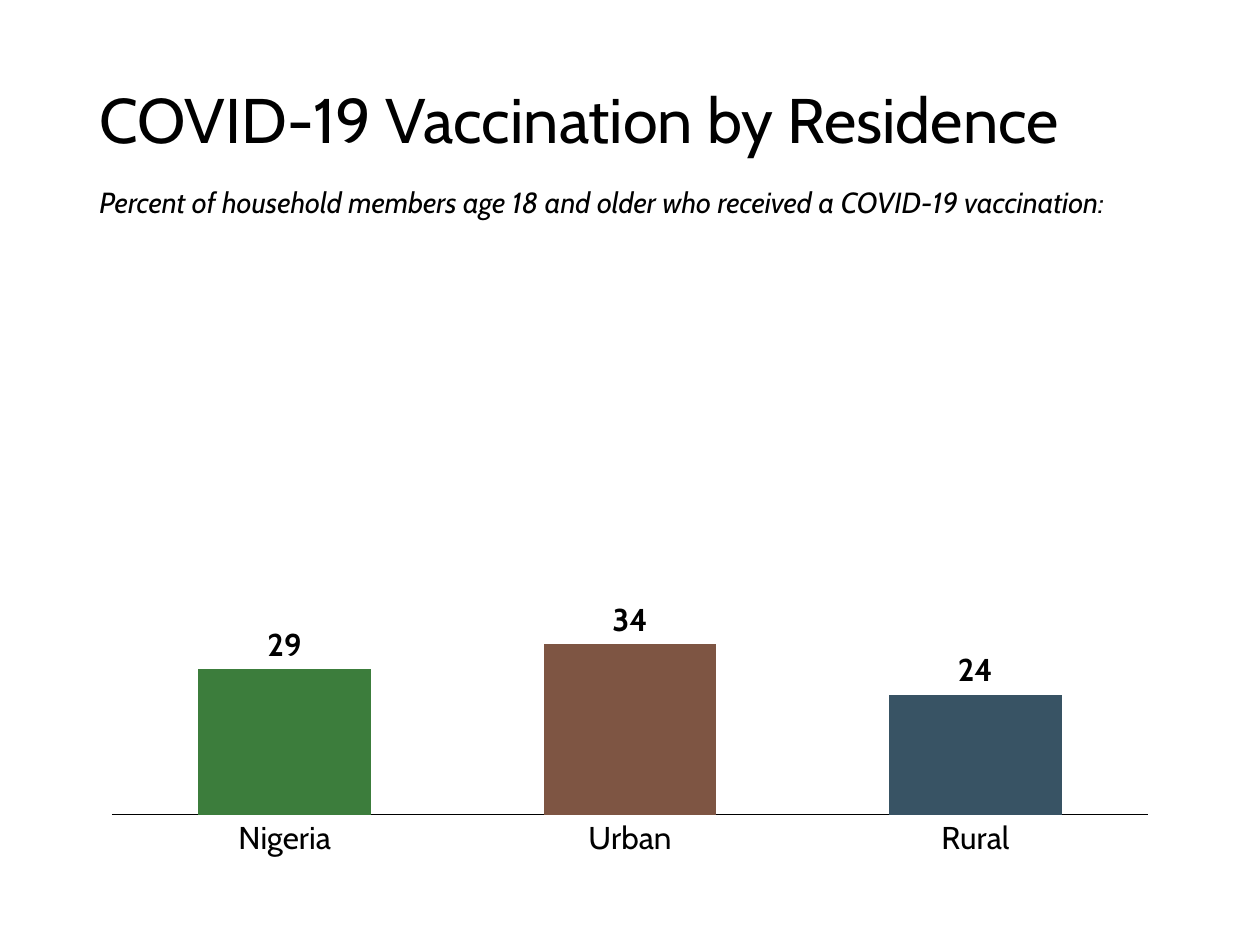
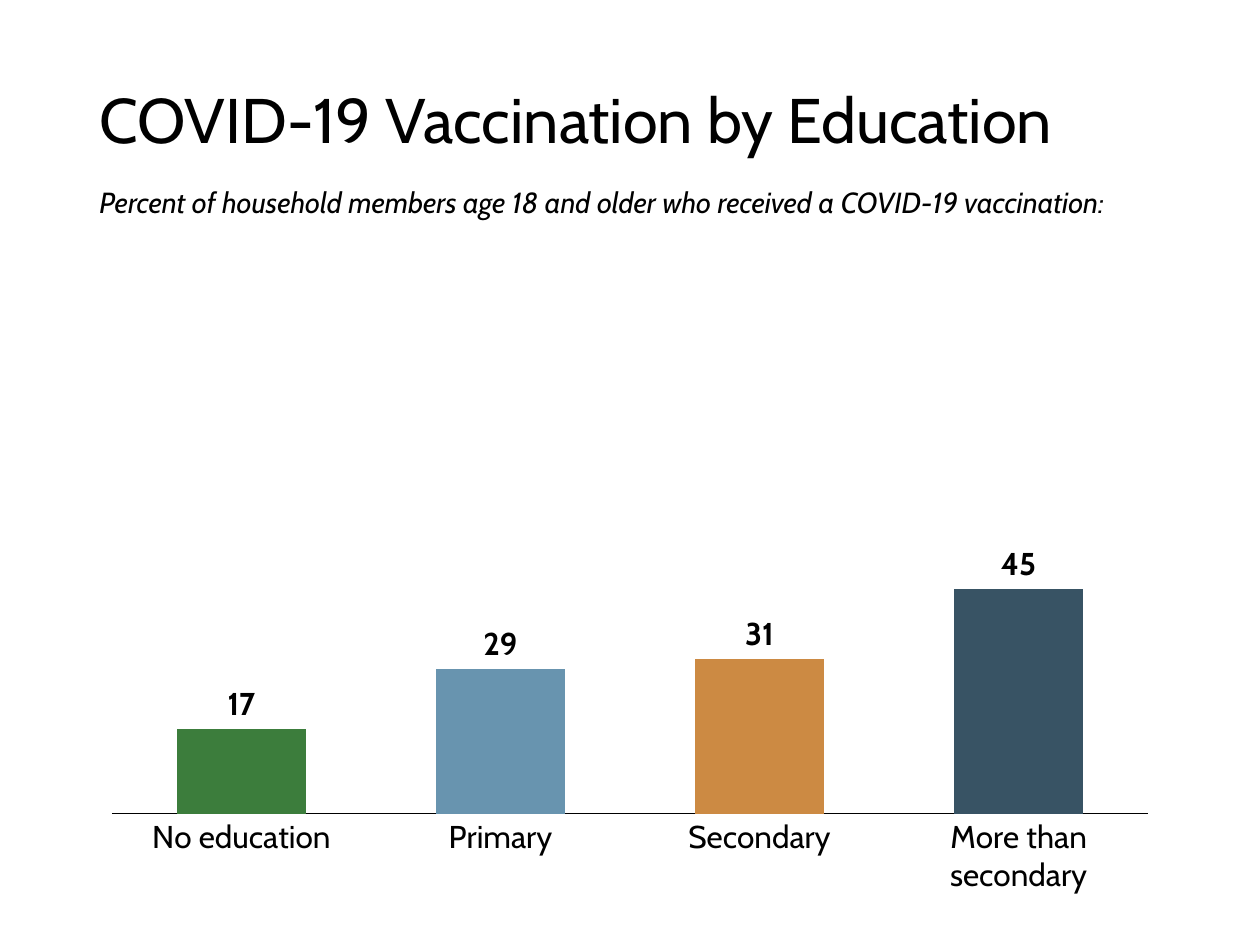
from dataclasses import dataclass

from lxml import etree
from pptx import Presentation
from pptx import util as u
from pptx.chart import data as cd
from pptx.dml.color import RGBColor
from pptx.enum import chart as ce
from pptx.enum import text as te
from pptx.oxml import ns

NOTE = ("Percent of household members age 18 and older "
        "who received a COVID-19 vaccination:")

# Each group: title, then (label, percent, colour name) for every bar
GROUPS = [
    ("COVID-19 Vaccination by Residence", [
        ("Nigeria", 29, "green"),
        ("Urban", 34, "brown"),
        ("Rural", 24, "navy"),
    ]),
    ("COVID-19 Vaccination by Education", [
        ("No education", 17, "green"),
        ("Primary", 29, "blue"),
        ("Secondary", 31, "gold"),
        ("More than secondary", 45, "navy"),
    ]),
]


@dataclass(frozen=True)
class Theme:
    font: str = "Cabin"
    ink: str = "000000"
    green: str = "3C7D3C"
    brown: str = "7E5543"
    navy: str = "385364"
    blue: str = "6894AF"
    gold: str = "CC8A43"
    title: float = 36
    note: float = 16.6
    label: float = 18
    rule: float = 0.75


T = Theme()
WIDE, HIGH = 10, 7.5
LEFT = 0.69
SPAN = WIDE - 2 * LEFT
PLOT = {"x": 0.023, "y": 0.082, "w": 0.954, "h": 0.792}  # shares of the chart


def tint(name):
    return RGBColor.from_string(getattr(T, name))


def style(font, size, bold=False, italic=False):
    font.name = T.font
    font.size = u.Pt(size)
    font.bold = bold
    font.italic = italic
    font.color.rgb = tint("ink")


def write(slide, words, top, high, size, anchor=te.MSO_ANCHOR.TOP, **form):
    box = slide.shapes.add_textbox(
        u.Inches(LEFT), u.Inches(top), u.Inches(SPAN), u.Inches(high))
    frame = box.text_frame
    frame.word_wrap = True
    frame.vertical_anchor = anchor
    para = frame.paragraphs[0]
    para.line_spacing = 0.9
    run = para.add_run()
    run.text = words
    style(run.font, size, **form)


def place(chart):
    """Fix the inner plot area so that both charts share one baseline."""
    area = chart.plots[0]._element.getparent()
    for old in area.findall(ns.qn("c:layout")):
        area.remove(old)
    outer = etree.Element(ns.qn("c:layout"))
    area.insert(0, outer)
    inner = etree.SubElement(outer, ns.qn("c:manualLayout"))
    parts = {"layoutTarget": "inner", "xMode": "edge", "yMode": "edge", **PLOT}
    for tag, val in parts.items():
        etree.SubElement(inner, ns.qn("c:" + tag)).set("val", str(val))


def draw(slide, bars):
    names, vals, tones = zip(*bars)
    data = cd.CategoryChartData()
    data.categories = names
    data.add_series("Series 1", vals)
    chart = slide.shapes.add_chart(
        ce.XL_CHART_TYPE.COLUMN_CLUSTERED, u.Inches(LEFT), u.Inches(2.08),
        u.Inches(SPAN), u.Inches(5.02), data).chart
    style(chart.font, T.label)
    chart.has_legend = False
    chart.has_title = False

    base = chart.category_axis
    base.major_tick_mark = ce.XL_TICK_MARK.NONE
    base.format.line.color.rgb = tint("ink")
    base.format.line.width = u.Pt(T.rule)
    style(base.tick_labels.font, T.label)

    scale = chart.value_axis
    scale.minimum_scale, scale.maximum_scale = 0, 100
    scale.has_major_gridlines = False
    scale.visible = False

    plot = chart.plots[0]
    plot.gap_width = 100
    plot.vary_by_categories = False
    row = plot.series[0]
    row.format.fill.solid()
    row.format.fill.fore_color.rgb = tint(tones[0])
    for spot, tone in enumerate(tones[1:], 1):
        fill = row.points[spot].format.fill
        fill.solid()
        fill.fore_color.rgb = tint(tone)

    marks = row.data_labels
    marks.show_value = True
    marks.position = ce.XL_LABEL_POSITION.OUTSIDE_END
    style(marks.font, T.label, bold=True)
    place(chart)


def main():
    deck = Presentation()
    deck.slide_width, deck.slide_height = u.Inches(WIDE), u.Inches(HIGH)
    for title, bars in GROUPS:
        slide = deck.slides.add_slide(deck.slide_layouts[6])
        write(slide, title, 0.47, 1.02, T.title, te.MSO_ANCHOR.MIDDLE)
        write(slide, NOTE, 1.45, 0.46, T.note, italic=True)
        draw(slide, bars)
    deck.save("out.pptx")


if __name__ == "__main__":
    main()
